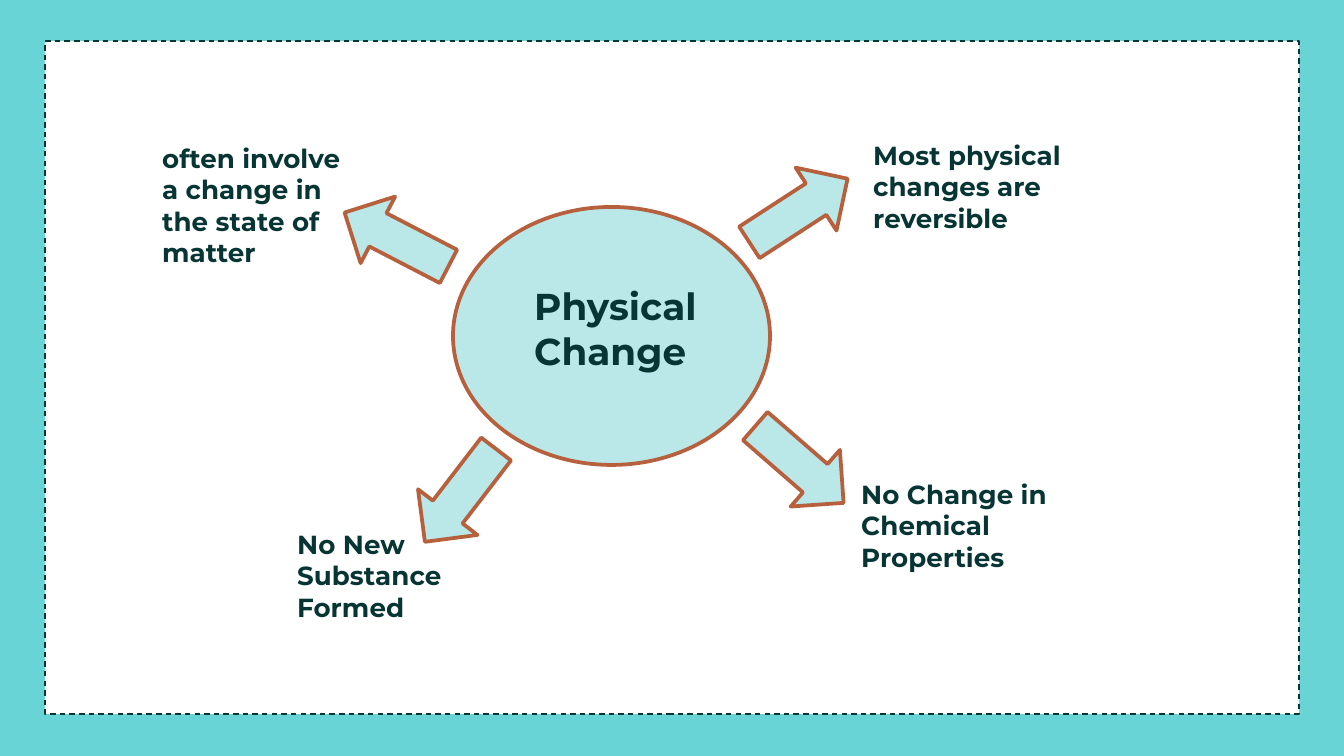
from pptx import Presentation
from pptx.dml.color import RGBColor
from pptx.enum.dml import MSO_LINE
from pptx.enum.shapes import MSO_SHAPE
from pptx.util import Emu, Pt

EMU_PER_PX = 914400 / 134.4
TEAL, PALE, RUST, DARK, WHITE = "68D4D6", "BAE8E8", "B7603D", "073533", "FFFFFF"
ARROW_SIZE = (75, 117)
LABEL_HEIGHT = 85

# left, top, rotation
ARROWS = [
    (359, 181, 117.4),
    (423, 437, 37.5),
    (761, 152, 237),
    (762, 406, 311),
]
# text, left, top, width
LABELS = [
    ("often involve a change in the state of matter", 149, 129, 214),
    ("No Change in Chemical Properties", 848, 465, 263),
    ("No New Substance Formed", 284, 515, 253),
    ("Most physical changes are reversible", 860, 126, 241),
]


def px(n):
    return Emu(round(n * EMU_PER_PX))


def rgb(color):
    return RGBColor.from_string(color)


def add_shape(slide, kind, box, fill=PALE, line=RUST, weight=2):
    s = slide.shapes.add_shape(kind, *map(px, box))
    s.shadow.inherit = False
    s.fill.solid()
    s.fill.fore_color.rgb = rgb(fill)
    s.line.color.rgb = rgb(line)
    s.line.width = Pt(weight)
    return s


def add_text(slide, text, box, size):
    tf = slide.shapes.add_textbox(*map(px, box)).text_frame
    tf.word_wrap = True
    for side in ("left", "top", "right", "bottom"):
        setattr(tf, f"margin_{side}", Pt(7.2))
    r = tf.paragraphs[0].add_run()
    r.text = text
    for name, value in {"name": "Montserrat", "size": Pt(size), "bold": True}.items():
        setattr(r.font, name, value)
    r.font.color.rgb = rgb(DARK)


def main():
    prs = Presentation()
    prs.slide_width, prs.slide_height = px(1344), px(756)
    slide = prs.slides.add_slide(prs.slide_layouts[6])
    slide.background.fill.solid()
    slide.background.fill.fore_color.rgb = rgb(TEAL)

    frame = add_shape(slide, MSO_SHAPE.RECTANGLE, (45, 41, 1254, 673), WHITE, DARK, 0.75)
    frame.line.dash_style = MSO_LINE.DASH
    add_shape(slide, MSO_SHAPE.OVAL, (453, 207, 317, 258))
    for left, top, rotation in ARROWS:
        arrow = add_shape(slide, MSO_SHAPE.DOWN_ARROW, (left, top, *ARROW_SIZE))
        arrow.rotation = rotation
    for text, left, top, width in LABELS:
        add_text(slide, text, (left, top, width, LABEL_HEIGHT), 14)
    add_text(slide, "Physical Change", (521, 270, 305, 79), 20)

    prs.save("out.pptx")


if __name__ == "__main__":
    main()
